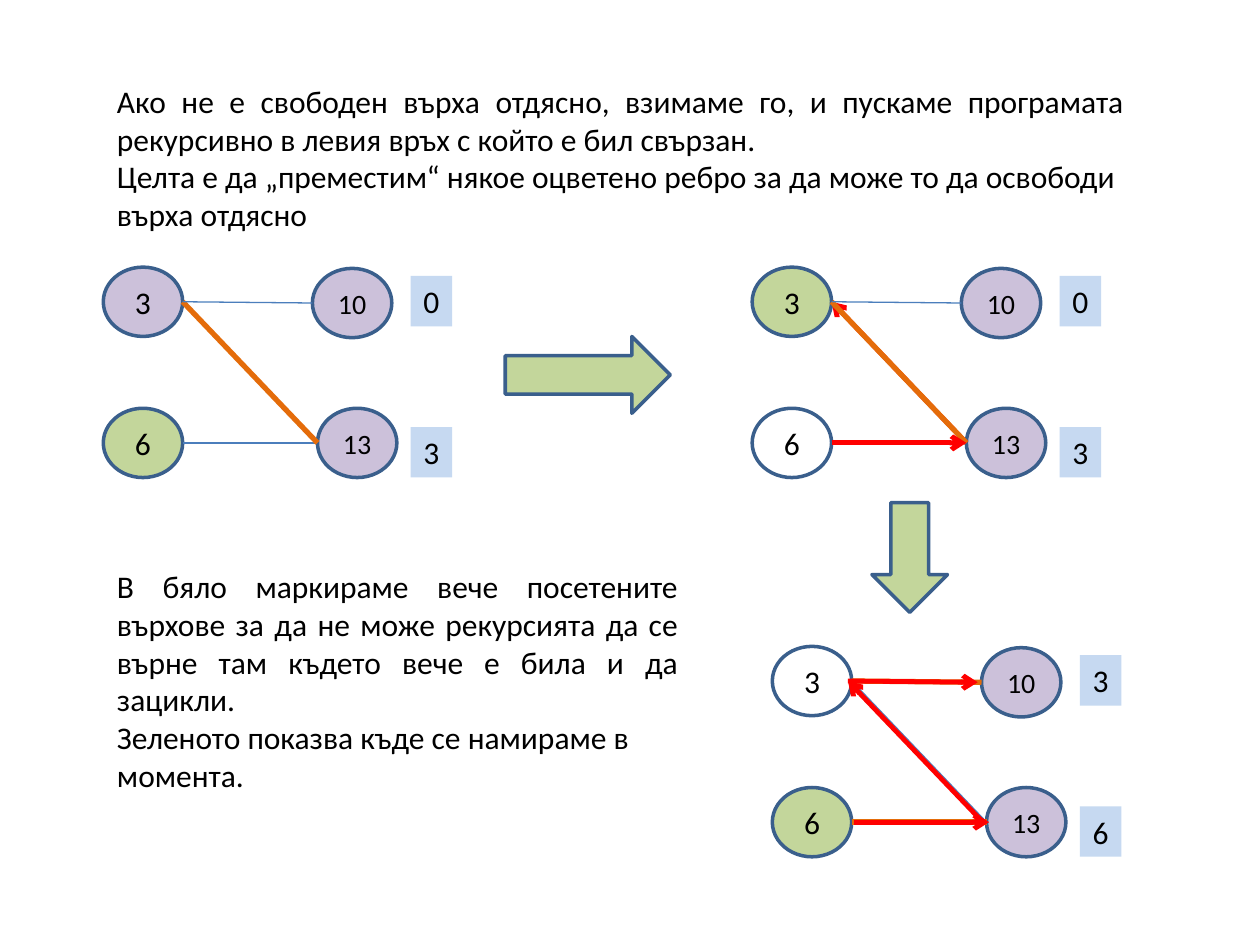
from lxml.etree import SubElement
from pptx import Presentation
from pptx.dml.color import RGBColor
from pptx.enum.shapes import MSO_CONNECTOR, MSO_SHAPE
from pptx.enum.text import MSO_ANCHOR, PP_ALIGN
from pptx.oxml.ns import qn
from pptx.util import Inches, Pt

COLORS = {
    "text": "000000", "white": "FFFFFF", "green": "C3D69B", "violet": "CCC1DA",
    "tag": "C6D9F1", "rim": "3A5F8C", "blue": "4B7EBC", "orange": "E46C0A",
    "red": "FF0000",
}
FONT = {"name": "Calibri", "size": Pt(18)}
EDGES = {"blue": 0.75, "orange": 3, "red": 2.75}

# Offsets inside a graph box
NODE_W, NODE_H = 0.63, 0.55
NODES = {"3": (0, 0), "10": (1.66, 0.01), "6": (0, 1.12), "13": (1.7, 1.12)}
TAGS = [(2.44, 0.07), (2.44, 1.27)]
LEFT = ("3", "6")


def color(name):
    return RGBColor.from_string(COLORS[name])


def write(par, text, **extra):
    run = par.add_run()
    run.text = text
    for key, value in {**FONT, **extra}.items():
        setattr(run.font, key, value)
    run.font.color.rgb = color("text")


def add_note(slide, x, y, w, h, texts):
    """Justified first paragraph, then a left-aligned one."""
    frame = slide.shapes.add_textbox(*map(Inches, (x, y, w, h))).text_frame
    frame.word_wrap = True
    for i, text in enumerate(texts):
        par = frame.add_paragraph() if i else frame.paragraphs[0]
        par.alignment = PP_ALIGN.LEFT if i else PP_ALIGN.JUSTIFY
        write(par, text)


def add_block(slide, kind, x, y, w, h, fill, rim=True):
    shape = slide.shapes.add_shape(kind, *map(Inches, (x, y, w, h)))
    shape.shadow.inherit = False
    shape.fill.solid()
    shape.fill.fore_color.rgb = color(fill)
    if rim:
        shape.line.color.rgb = color("rim")
        shape.line.width = Pt(2)
    else:
        shape.line.fill.background()
    return shape


def label(shape, text, size):
    frame = shape.text_frame
    form = {"margin_left": 0, "margin_right": 0, "margin_top": 0,
            "margin_bottom": 0, "word_wrap": True,
            "vertical_anchor": MSO_ANCHOR.MIDDLE}
    for key, value in form.items():
        setattr(frame, key, value)
    par = frame.paragraphs[0]
    par.alignment = PP_ALIGN.CENTER
    write(par, text, size=Pt(size))


def port(x, y, node):
    """Inner side of a node, where its edges meet."""
    dx, dy = NODES[node]
    return x + dx + (NODE_W if node in LEFT else 0), y + dy + NODE_H / 2


def add_edge(slide, x, y, start, end, hue, shift=0):
    ends = port(x + shift, y, start) + port(x + shift, y, end)
    line = slide.shapes.add_connector(MSO_CONNECTOR.STRAIGHT, *map(Inches, ends))
    line.line.color.rgb = color(hue)
    line.line.width = Pt(EDGES[hue])
    if hue == "red":
        SubElement(line.line._get_or_add_ln(), qn("a:tailEnd"), type="arrow")
    SubElement(line._element.spPr, qn("a:effectLst"))


def add_graph(slide, x, y, fills, tags, edges):
    """Four nodes, two tags and the edges, from back to front."""
    for node, (dx, dy) in NODES.items():
        shape = add_block(slide, MSO_SHAPE.OVAL, x + dx, y + dy, NODE_W, NODE_H,
                          fills.get(node, "violet"))
        label(shape, node, 18 if node in LEFT else 16)
    for (dx, dy), text in zip(TAGS, tags):
        shape = add_block(slide, MSO_SHAPE.RECTANGLE, x + dx, y + dy, 0.33, 0.4,
                          "tag", rim=False)
        label(shape, text, 18)
    for edge in edges:
        add_edge(slide, x, y, *edge)


def main():
    deck = Presentation()
    deck.slide_width, deck.slide_height = Inches(10), Inches(7.5)
    slide = deck.slides.add_slide(deck.slide_layouts[6])

    # Explanations
    add_note(slide, 0.83, 0.6, 8.19, 1.31, [
        "Ако не е свободен върха отдясно, взимаме го, и пускаме програмата "
        "рекурсивно в левия връх с който е бил свързан.",
        "Целта е да „преместим“ някое оцветено ребро за да може то да освободи "
        "върха отдясно"])
    add_note(slide, 0.83, 4.45, 4.65, 1.92, [
        "В бяло маркираме вече посетените върхове за да не може рекурсията да се "
        "върне там където вече е била и да зацикли.",
        "Зеленото показва къде се намираме в момента."])

    # Arrows between the steps
    add_block(slide, MSO_SHAPE.RIGHT_ARROW, 4.01, 2.67, 1.31, 0.61, "green")
    add_block(slide, MSO_SHAPE.DOWN_ARROW, 6.92, 3.99, 0.6, 0.87, "green")

    # Step 1: start at node 6
    add_graph(slide, 0.82, 2.12, {"6": "green"}, "03", [
        ("6", "13", "blue"), ("3", "13", "orange"), ("3", "10", "blue")])

    # Step 2: take node 13 and go on from node 3
    add_graph(slide, 5.97, 2.12, {"3": "green", "6": "white"}, "03", [
        ("13", "3", "red"), ("6", "13", "blue"), ("3", "13", "orange"),
        ("3", "10", "blue"), ("6", "13", "red")])

    # Step 3: the matching has moved
    add_graph(slide, 6.13, 5.13, {"3": "white", "6": "green"}, "36", [
        ("6", "13", "orange"), ("3", "13", "blue"), ("3", "10", "orange"),
        ("6", "13", "red", 0.02), ("13", "3", "red", -0.03),
        ("3", "10", "red", -0.03)])

    deck.save("out.pptx")


if __name__ == "__main__":
    main()
